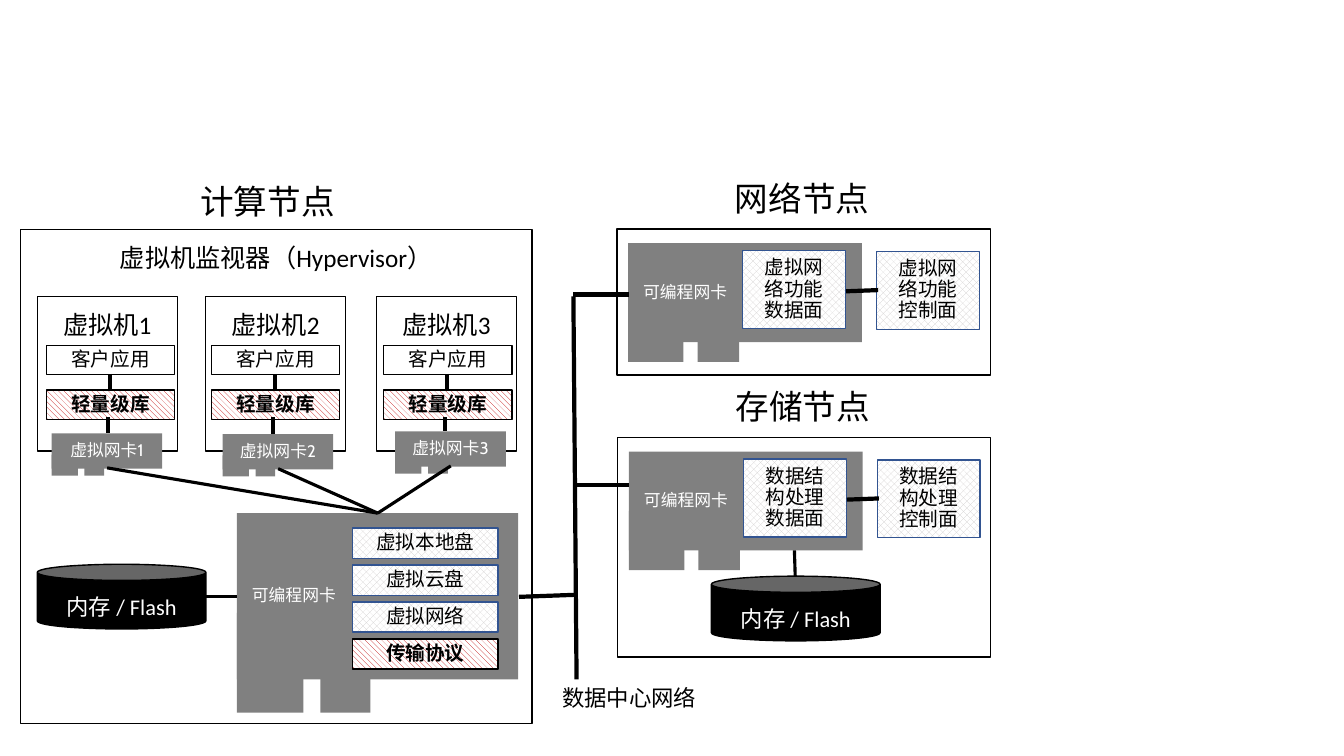
from lxml.etree import SubElement
from pptx import Presentation
from pptx.dml.color import RGBColor
from pptx.enum.dml import MSO_PATTERN as Pattern
from pptx.enum.shapes import MSO_CONNECTOR as Connector, MSO_SHAPE as Shape
from pptx.enum.text import MSO_ANCHOR as Anchor, MSO_AUTO_SIZE as AutoSize, PP_ALIGN as Align
from pptx.oxml.ns import qn
from pptx.util import Cm, Pt

BLACK = RGBColor(0x00, 0x00, 0x00)
WHITE = RGBColor(0xFF, 0xFF, 0xFF)
GRAY = RGBColor(0x80, 0x80, 0x80)
LIGHT_GRAY = RGBColor(0xD0, 0xCE, 0xCE)
BLUE = RGBColor(0x32, 0x54, 0x91)
RED = RGBColor(0xC0, 0x00, 0x00)

DOTS = (Pattern.PERCENT_50, LIGHT_GRAY)
STRIPES = (Pattern.WIDE_DOWNWARD_DIAGONAL, RED)


def write(shape, text, size, color=BLACK, align=Align.CENTER, anchor=Anchor.TOP,
          bold=False, font="Calibri", inset=(0.5, 0.4)):
    """Put one formatted paragraph into a shape."""
    frame = shape.text_frame
    frame.word_wrap = True
    frame.vertical_anchor = anchor
    frame.margin_left = frame.margin_right = Cm(inset[0])
    frame.margin_top = frame.margin_bottom = Cm(inset[1])
    paragraph = frame.paragraphs[0]
    paragraph.alignment = align
    paragraph.line_spacing = 0.9
    run = paragraph.add_run()
    run.text = text
    run.font.size = Pt(size)
    run.font.name = font
    run.font.bold = bold
    run.font.color.rgb = color


def add_box(shapes, left, top, width, height, fill=WHITE, line=BLACK, kind=Shape.RECTANGLE):
    """Draw a preset shape with a plain or patterned fill."""
    shape = shapes.add_shape(kind, Cm(left), Cm(top), Cm(width), Cm(height))
    shape.shadow.inherit = False
    if isinstance(fill, RGBColor):
        shape.fill.solid()
        shape.fill.fore_color.rgb = fill
    else:
        shape.fill.patterned()
        shape.fill.pattern, shape.fill.fore_color.rgb = fill
        shape.fill.back_color.rgb = WHITE
    if line is None:
        shape.line.fill.background()
    else:
        shape.line.color.rgb = line
        shape.line.width = Pt(1)
    return shape


def add_module(shapes, left, top, width, height, text, fill=DOTS, line=BLUE, bold=False):
    """Draw a small labelled software module."""
    shape = add_box(shapes, left, top, width, height, fill, line)
    write(shape, text, 14, anchor=Anchor.MIDDLE, bold=bold)


def add_label(shapes, left, top, width, height, text, size):
    """Write a free label that hugs its text."""
    label = shapes.add_textbox(Cm(left), Cm(top), Cm(width), Cm(height))
    write(label, text, size, align=Align.LEFT)
    label.text_frame.word_wrap = False
    label.text_frame.auto_size = AutoSize.SHAPE_TO_FIT_TEXT
    label.text_frame.paragraphs[0].space_after = Pt(6)


def add_link(shapes, start_x, start_y, end_x, end_y, width=3):
    """Draw a straight black line."""
    link = shapes.add_connector(
        Connector.STRAIGHT, Cm(start_x), Cm(start_y), Cm(end_x), Cm(end_y))
    link.line.color.rgb = BLACK
    link.line.width = Pt(width)
    SubElement(link._element.spPr, qn("a:effectLst"))


def add_card(shapes, left, top, width, height, text, align=Align.LEFT):
    """Draw a network card with two contact feet below its body."""
    card = shapes.add_group_shape().shapes
    for offset, share in ((0, 0.237), (0.297, 0.178)):
        add_box(card, left + offset * width, top + 0.6 * height,
                share * width, 0.6 * height, GRAY, None)
    body = add_box(card, left, top, width, height, GRAY, None)
    write(body, text, 12, WHITE, align, Anchor.MIDDLE, font="Cabin", inset=(0.38, 0.3))


def add_memory(shapes, left, top):
    """Draw the memory cylinder."""
    can = add_box(shapes, left, top, 4.25, 1.63, BLACK, BLACK, Shape.CAN)
    write(can, "内存 / Flash", 16, WHITE)


def add_machine(shapes, left, top, number, stack_left, card_left, card_top):
    """Draw a virtual machine with its software stack and virtual card."""
    frame = add_box(shapes, left, top, 3.53, 3.9)
    write(frame, f"虚拟机{number}", 18)
    add_card(shapes, card_left, card_top, 2.79, 0.89, f"虚拟网卡{number}", Align.CENTER)
    add_module(shapes, stack_left, top + 1.23, 3.23, 0.74, "客户应用", WHITE, BLACK)
    add_module(shapes, stack_left, top + 2.36, 3.23, 0.74, "轻量级库", STRIPES, BLACK, True)
    add_link(shapes, stack_left + 1.6, top + 1.95, stack_left + 1.6, top + 2.36)
    add_link(shapes, stack_left + 1.55, top + 3.05, stack_left + 1.55, card_top)


def add_compute_node(shapes, left, top, width, height):
    """Draw the compute node with its machines, card and memory."""
    frame = add_box(shapes, left, top, width, height)
    write(frame, "虚拟机监视器（Hypervisor）", 18)
    add_label(shapes, left + 4.04, top - 1.52, 4.45, 1.75, "计算节点", 24)
    card_left, card_top = left + 5.46, top + 7.14
    add_card(shapes, card_left, card_top, 7.09, 4.19, "可编程网卡")
    machines = ((0.43, 0.66, 0.79, 5.13), (4.67, 4.82, 5.1, 5.15), (8.98, 9.16, 9.45, 5.08))
    for number, (machine, stack, virtual_card, virtual_top) in enumerate(machines, 1):
        add_machine(shapes, left + machine, top + 1.68, number, left + stack,
                    left + virtual_card, top + virtual_top)
        add_link(shapes, left + virtual_card + 1.4, top + virtual_top + 0.87,
                 card_left + 3.55, card_top, 2.25)
    services = ("虚拟本地盘", "虚拟云盘", "虚拟网络", "传输协议")
    for row, service in enumerate(services):
        last = row == len(services) - 1
        add_module(shapes, card_left + 2.92, card_top + 0.38 + row * 0.93, 3.66, 0.76, service,
                   STRIPES if last else DOTS, BLACK if last else BLUE, last)
    add_link(shapes, left + 4.65, top + 9.25, card_left, top + 9.25, 2.25)
    add_memory(shapes, left + 0.43, top + 8.43)


def add_service_node(shapes, left, top, width, height, title, function):
    """Draw a node whose card holds a data plane beside a control plane."""
    add_box(shapes, left, top, width, height)
    add_label(shapes, left + 2.47, top - 1.57, 4.45, 1.75, title, 24)
    add_card(shapes, left + 0.28, top + 0.36, 5.89, 2.49, "可编程网卡")
    add_module(shapes, left + 3.17, top + 0.55, 2.59, 1.96, function + "数据面")
    add_module(shapes, left + 6.54, top + 0.57, 2.59, 1.96, function + "控制面")
    add_link(shapes, left + 5.77, top + 1.57, left + 6.58, top + 1.54)


def add_storage(shapes, left, top):
    """Hang the memory below the card of the storage node."""
    add_link(shapes, left + 4.45, top + 2.85, left + 4.47, top + 3.5, 2.25)
    add_memory(shapes, left + 2.36, top + 3.5)


def add_network(shapes, left, top, height):
    """Draw the data centre trunk with its three taps and its name."""
    add_link(shapes, left, top, left + 0.08, top + height)
    add_link(shapes, left, top - 0.05, left + 1.39, top - 0.05)
    add_link(shapes, left + 0.08, top + 4.75, left + 1.39, top + 4.75)
    add_link(shapes, left - 1.37, top + 7.57, left + 0.03, top + 7.52)
    add_label(shapes, left - 0.78, top + height - 0.1, 4.45, 1.45, "数据中心网络", 16)


def main():
    """Build the slide and save it."""
    presentation = Presentation()
    presentation.slide_width, presentation.slide_height = Cm(33.87), Cm(19.05)
    slide = presentation.slides.add_slide(presentation.slide_layouts[6])
    shapes = slide.shapes
    add_compute_node(shapes, 0.51, 5.79, 12.9, 12.45)
    add_service_node(shapes, 15.55, 5.77, 9.42, 3.68, "网络节点", "虚拟网络功能")
    add_service_node(shapes, 15.57, 11.02, 9.4, 5.54, "存储节点", "数据结构处理")
    add_storage(shapes, 15.57, 11.02)
    add_network(shapes, 14.45, 7.47, 9.65)
    presentation.save("out.pptx")


if __name__ == "__main__":
    main()
